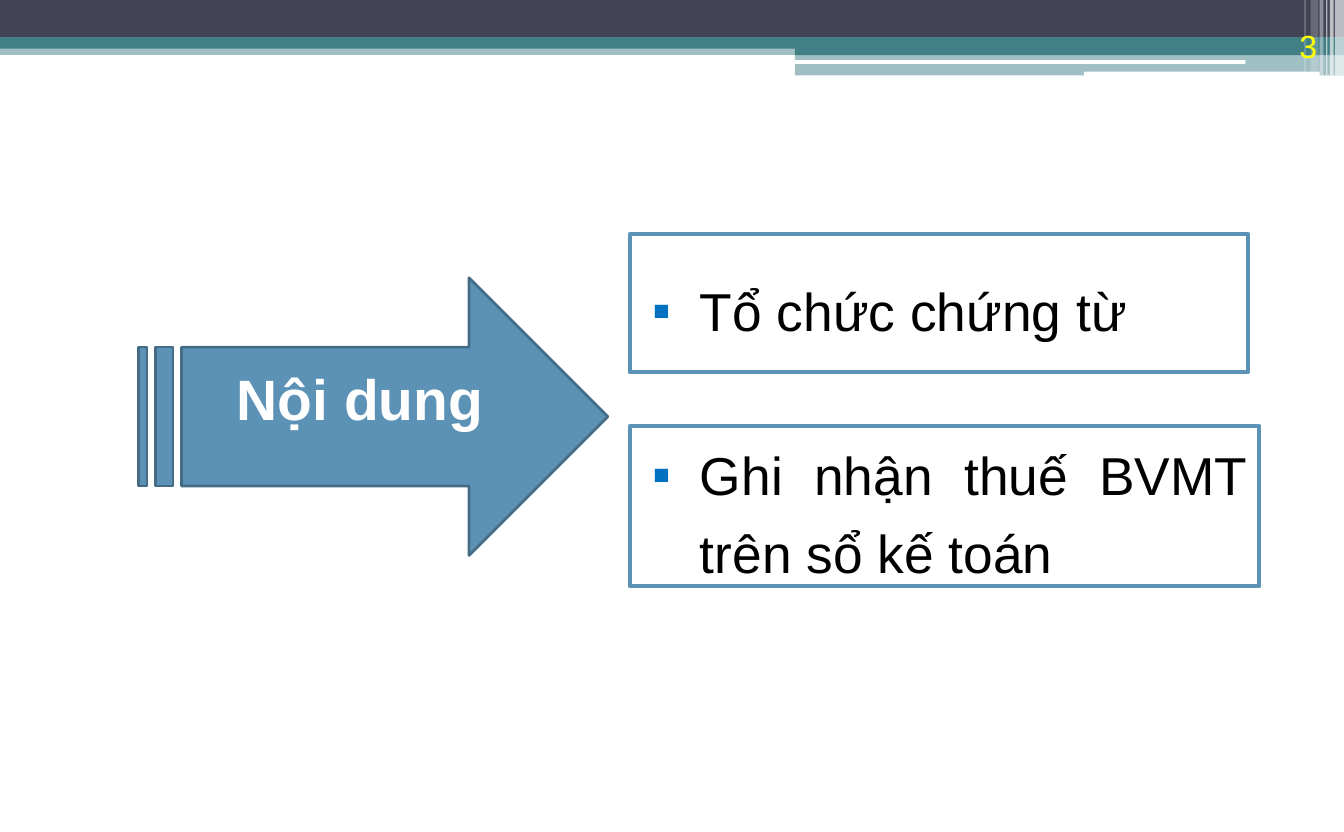
from lxml import etree
from pptx import Presentation
from pptx.dml.color import RGBColor
from pptx.enum.shapes import MSO_SHAPE
from pptx.enum.text import MSO_ANCHOR, PP_ALIGN
from pptx.oxml.ns import qn
from pptx.util import Inches, Pt

RECT, ROUND = MSO_SHAPE.RECTANGLE, MSO_SHAPE.ROUNDED_RECTANGLE
ARROW = MSO_SHAPE.STRIPED_RIGHT_ARROW
LEFT, CENTER = PP_ALIGN.LEFT, PP_ALIGN.CENTER
RIGHT, JUSTIFY = PP_ALIGN.RIGHT, PP_ALIGN.JUSTIFY
MIDDLE, BOTTOM = MSO_ANCHOR.MIDDLE, MSO_ANCHOR.BOTTOM

WHITE = RGBColor(0xFF, 0xFF, 0xFF)
BLACK = RGBColor(0, 0, 0)
YELLOW = RGBColor(0xFF, 0xFF, 0)
NAVY = RGBColor(0x42, 0x44, 0x56)
TEAL = RGBColor(0x43, 0x80, 0x86)
BLUE = RGBColor(0x5C, 0x92, 0xB5)
EDGE = RGBColor(0x44, 0x6C, 0x86)
BULLET = "0070C0"
FONT = "Arial"
WIDTH, HEIGHT = 10.5, 6.5

# Content
TITLE = "Nội dung"
NUMBER = "3"
TOPICS = [  # text, top, width, height
    ("Tổ chức chứng từ", 1.83, 4.83, 1.08),
    ("Ghi nhận thuế BVMT trên sổ kế toán", 3.33, 4.92, 1.25),
]
TOPIC_LEFT = 4.92

# Header: left, top, width, height, colour, opacity in percent
STEP = 6.21
BANDS = [
    (0, 0.35, WIDTH, 0.08, TEAL, 50),
    (0, 0, WIDTH, 0.29, NAVY, 100),
    (0, 0.29, WIDTH, 0.09, TEAL, 100),
    (STEP, 0.34, WIDTH - STEP, 0.09, TEAL, 100),
    (STEP, 0.42, WIDTH - STEP, 0.17, TEAL, 50),
]
SLITS = [(STEP, 0.47, 3.52, 0.03), (8.47, 0.56, 1.84, 0.04)]
STRIPES = [  # left, width, height, opacity
    (10.43, 0.07, 0.59, 65),
    (10.39, 0.03, 0.59, 65),
    (10.36, 0.01, 0.59, 60),
    (10.31, 0.03, 0.59, 40),
    (10.24, 0.06, 0.56, 20),
    (10.19, 0.01, 0.56, 30),
]

deck = Presentation()
deck.slide_width, deck.slide_height = Inches(WIDTH), Inches(HEIGHT)
slide = deck.slides.add_slide(deck.slide_layouts[6])


def add_box(kind, left, top, width, height, fill, alpha=100, line=None, weight=0):
    box = slide.shapes.add_shape(
        kind, Inches(left), Inches(top), Inches(width), Inches(height))
    box.shadow.inherit = False
    box.fill.solid()
    box.fill.fore_color.rgb = fill
    if alpha < 100:
        tint = box.fill._xPr.find(".//" + qn("a:srgbClr"))
        etree.SubElement(tint, qn("a:alpha"), val=str(alpha * 1000))
    if line is None:
        box.line.fill.background()
    else:
        box.line.color.rgb = line
        box.line.width = Pt(weight)
    return box


def put_text(box, text, size=18, color=BLACK, bold=False, align=LEFT,
             anchor=MIDDLE, bullet=None, leading=None):
    frame = box.text_frame
    frame.word_wrap = True
    frame.vertical_anchor = anchor
    para = frame.paragraphs[0]
    para.alignment = align
    if leading:
        para.line_spacing = Pt(leading)
    if bullet:
        props = para._p.get_or_add_pPr()
        props.set("marL", str(Inches(0.45)))
        props.set("indent", str(Inches(-0.37)))
        tint = etree.SubElement(props, qn("a:buClr"))
        etree.SubElement(tint, qn("a:srgbClr"), val=BULLET)
        etree.SubElement(props, qn("a:buFont"), typeface=FONT)
        etree.SubElement(props, qn("a:buChar"), char=bullet)
    run = para.add_run()
    run.text = text
    font = run.font
    font.name, font.size, font.bold = FONT, Pt(size), bold
    font.color.rgb = color


# Header bands, slits and stripes
for left, top, width, height, color, alpha in BANDS:
    add_box(RECT, left, top, width, height, color, alpha)
for slit in SLITS:
    add_box(ROUND, *slit, WHITE)
for left, width, height, alpha in STRIPES:
    add_box(RECT, left, 0, width, height, WHITE, alpha)

# Slide number
number = slide.shapes.add_textbox(
    Inches(9.41), Inches(0.21), Inches(0.88), Inches(0.35))
put_text(number, NUMBER, color=YELLOW, align=RIGHT, anchor=BOTTOM)
number.text_frame.margin_right = 0

# Arrow, with its label raised above the middle
arrow = add_box(ARROW, 1.08, 2.17, 3.67, 2.17, BLUE, line=EDGE, weight=1.5)
put_text(arrow, TITLE, size=32, color=WHITE, bold=True, align=CENTER)
arrow.text_frame.margin_bottom = Inches(0.34)

# Topic boxes
for text, top, width, height in TOPICS:
    topic = add_box(RECT, TOPIC_LEFT, top, width, height, WHITE,
                    line=BLUE, weight=2.25)
    put_text(topic, text, size=30, align=JUSTIFY, bullet="▪", leading=44)

deck.save("out.pptx")
